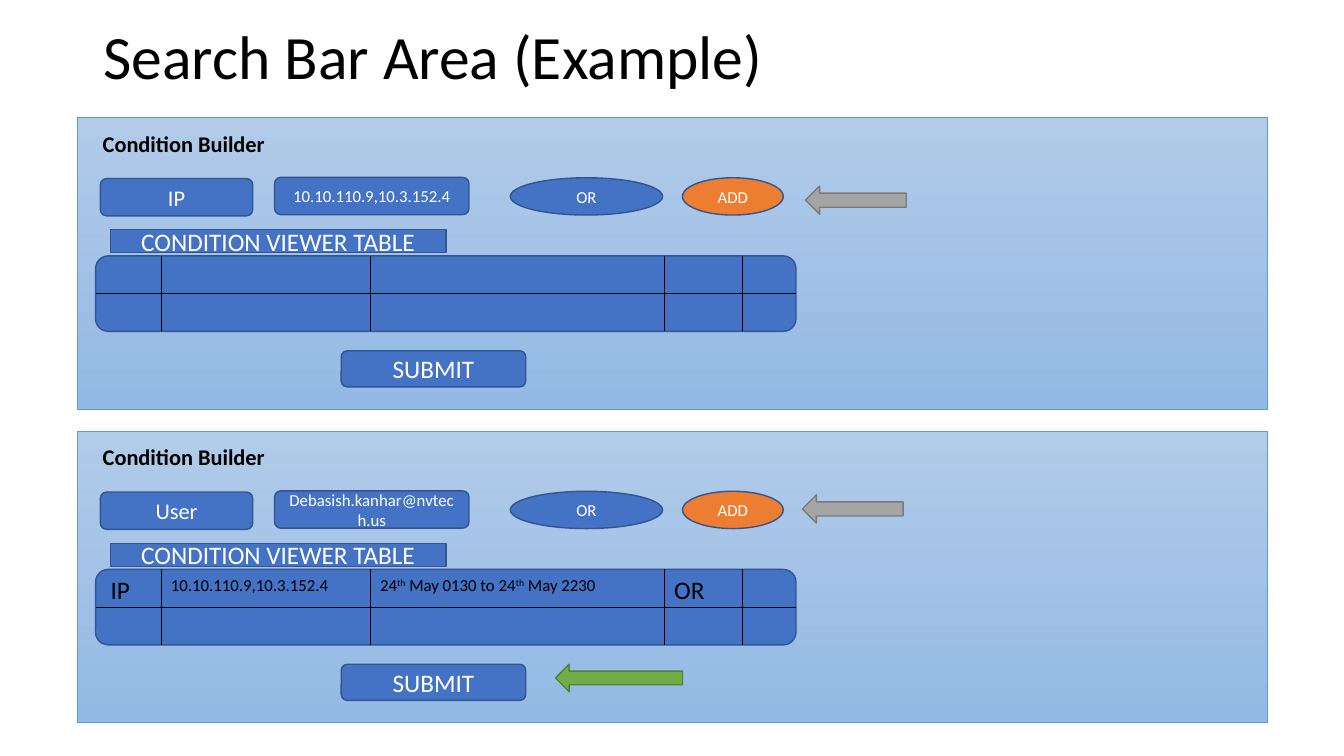
from dataclasses import dataclass

from lxml import etree
from pptx import Presentation
from pptx.dml.color import RGBColor
from pptx.enum.shapes import MSO_CONNECTOR, MSO_SHAPE
from pptx.enum.text import MSO_ANCHOR, PP_ALIGN
from pptx.oxml.ns import qn
from pptx.util import Cm, Pt

RECT = MSO_SHAPE.RECTANGLE
ROUND = MSO_SHAPE.ROUNDED_RECTANGLE
ELLIPSE = MSO_SHAPE.OVAL
LEFT_ARROW = MSO_SHAPE.LEFT_ARROW
STRAIGHT = MSO_CONNECTOR.STRAIGHT
MIDDLE = MSO_ANCHOR.MIDDLE
TOP = MSO_ANCHOR.TOP
CENTER = PP_ALIGN.CENTER


@dataclass(frozen=True)
class Theme:
    font: str = "Calibri"
    black: str = "000000"
    white: str = "FFFFFF"
    blue: str = "4472C4"
    blue_edge: str = "325491"
    orange: str = "ED7D31"
    green: str = "70AD47"
    green_edge: str = "538035"
    gray: str = "A5A5A5"
    gray_edge: str = "7A7A7A"
    panel_top: str = "B1CBE9"
    panel_bottom: str = "93B9E4"
    panel_edge: str = "5B9BD5"
    title: int = 44
    large: int = 18
    medium: int = 16
    small: int = 12
    thin: float = 0.5
    edge: float = 1


T = Theme()

# Panel layout in cm; vertical values count from the top of a panel
PANEL_TOPS = (2.97, 10.87)
TABLE_LEFT, TABLE_TOP, TABLE_WIDTH, TABLE_HEIGHT = 2.41, 3.48, 17.65, 1.9
COLUMN_LINES = (4.06, 9.33, 16.74, 18.7)


def rgb(value):
    return RGBColor.from_string(value)


def style_run(r, size, color, bold=False):
    r.font.name = T.font
    r.font.size = Pt(size)
    r.font.bold = bold
    r.font.color.rgb = rgb(color)


def add_shape(slide, kind, box, fill, edge, text="", size=T.large, weight=T.edge):
    s = slide.shapes.add_shape(kind, *map(Cm, box))
    s.shadow.inherit = False
    s.fill.solid()
    s.fill.fore_color.rgb = rgb(fill)
    s.line.color.rgb = rgb(edge)
    s.line.width = Pt(weight)
    if text:
        tf = s.text_frame
        tf.text = text
        tf.vertical_anchor = MIDDLE
        p = tf.paragraphs[0]
        p.alignment = CENTER
        style_run(p.runs[0], size, T.white)
    return s


def add_label(slide, box, parts, size, bold=False, anchor=TOP):
    """Add a text box; every second part is superscript."""
    tf = slide.shapes.add_textbox(*map(Cm, box)).text_frame
    tf.word_wrap = True
    tf.vertical_anchor = anchor
    p = tf.paragraphs[0]
    for i, part in enumerate(parts):
        r = p.add_run()
        r.text = part
        style_run(r, size, T.black, bold)
        if i % 2:
            r._r.get_or_add_rPr().set("baseline", "30000")
    return p


def add_line(slide, x1, y1, x2, y2):
    c = slide.shapes.add_connector(STRAIGHT, Cm(x1), Cm(y1), Cm(x2), Cm(y2))
    c.line.color.rgb = rgb(T.black)
    c.line.width = Pt(T.thin)
    etree.SubElement(c._element.spPr, qn("a:effectLst"))


def add_panel(slide, top):
    s = add_shape(slide, RECT, (1.96, top, 29.97, 7.34), T.panel_top,
                  T.panel_edge, weight=T.thin)
    s.fill.gradient()
    s.fill.gradient_angle = 270
    for stop, color in zip(s.fill.gradient_stops, (T.panel_top, T.panel_bottom)):
        stop.color.rgb = rgb(color)
    add_label(slide, (2.34, top + 0.18, 5.08, 0.94), ["Condition Builder"],
              T.medium, bold=True)


def add_viewer_table(slide, top):
    y = top + TABLE_TOP
    add_shape(slide, ROUND, (TABLE_LEFT, y, TABLE_WIDTH, TABLE_HEIGHT),
              T.blue, T.blue_edge)
    for x in COLUMN_LINES:
        add_line(slide, x, y, x, y + TABLE_HEIGHT)
    middle = y + TABLE_HEIGHT / 2
    add_line(slide, TABLE_LEFT, middle, TABLE_LEFT + TABLE_WIDTH, middle)


def add_builder(slide, top, field, value):
    add_panel(slide, top)
    controls = (
        (ROUND, 2.53, 1.53, 3.84, 0.94, T.blue, field, T.medium),
        (ROUND, 6.92, 1.5, 4.9, 0.94, T.blue, value, T.small),
        (ELLIPSE, 12.86, 1.51, 3.84, 0.94, T.blue, "OR", T.small),
        (ELLIPSE, 17.2, 1.51, 2.54, 0.94, T.orange, "ADD", T.small),
        (RECT, 2.78, 2.82, 8.46, 0.58, T.blue, "CONDITION VIEWER TABLE", T.large),
        (ROUND, 8.6, 5.87, 4.65, 0.91, T.blue, "SUBMIT", T.large),
    )
    for kind, x, y, w, h, fill, text, size in controls:
        add_shape(slide, kind, (x, top + y, w, h), fill, T.blue_edge, text, size)
    add_viewer_table(slide, top)


def main():
    prs = Presentation()
    prs.slide_width, prs.slide_height = Cm(33.87), Cm(19.05)
    slide = prs.slides.add_slide(prs.slide_layouts[6])

    # Title
    p = add_label(slide, (2.36, 0.36, 29.21, 2.29), ["Search Bar Area (Example)"],
                  T.title, anchor=MIDDLE)
    p.line_spacing = 0.9

    # Condition builders: before and after adding the first condition
    first, second = PANEL_TOPS
    add_builder(slide, first, "IP", "10.10.110.9,10.3.152.4")
    add_builder(slide, second, "User", "Debasish.kanhar@nvtech.us")

    # First row of the second viewer table
    row = second + TABLE_TOP
    cells = (
        (2.54, 1.52, ["IP"], T.large),
        (COLUMN_LINES[0], 5.28, ["10.10.110.9,10.3.152.4"], T.small),
        (COLUMN_LINES[1], 6.88,
         ["24", "th", " May 0130 to 24", "th", " May 2230"], T.small),
        (COLUMN_LINES[2], 1.96, ["OR"], T.large),
    )
    for x, w, parts, size in cells:
        add_label(slide, (x, row, w, 0.9), parts, size)

    # Arrows pointing at the next button to press
    add_shape(slide, LEFT_ARROW, (14, second + 5.87, 3.2, 0.69), T.green, T.green_edge)
    for x, y in ((20.3, first + 1.72), (20.22, second + 1.6)):
        add_shape(slide, LEFT_ARROW, (x, y, 2.54, 0.71), T.gray, T.gray_edge)

    prs.save("out.pptx")


if __name__ == "__main__":
    main()
